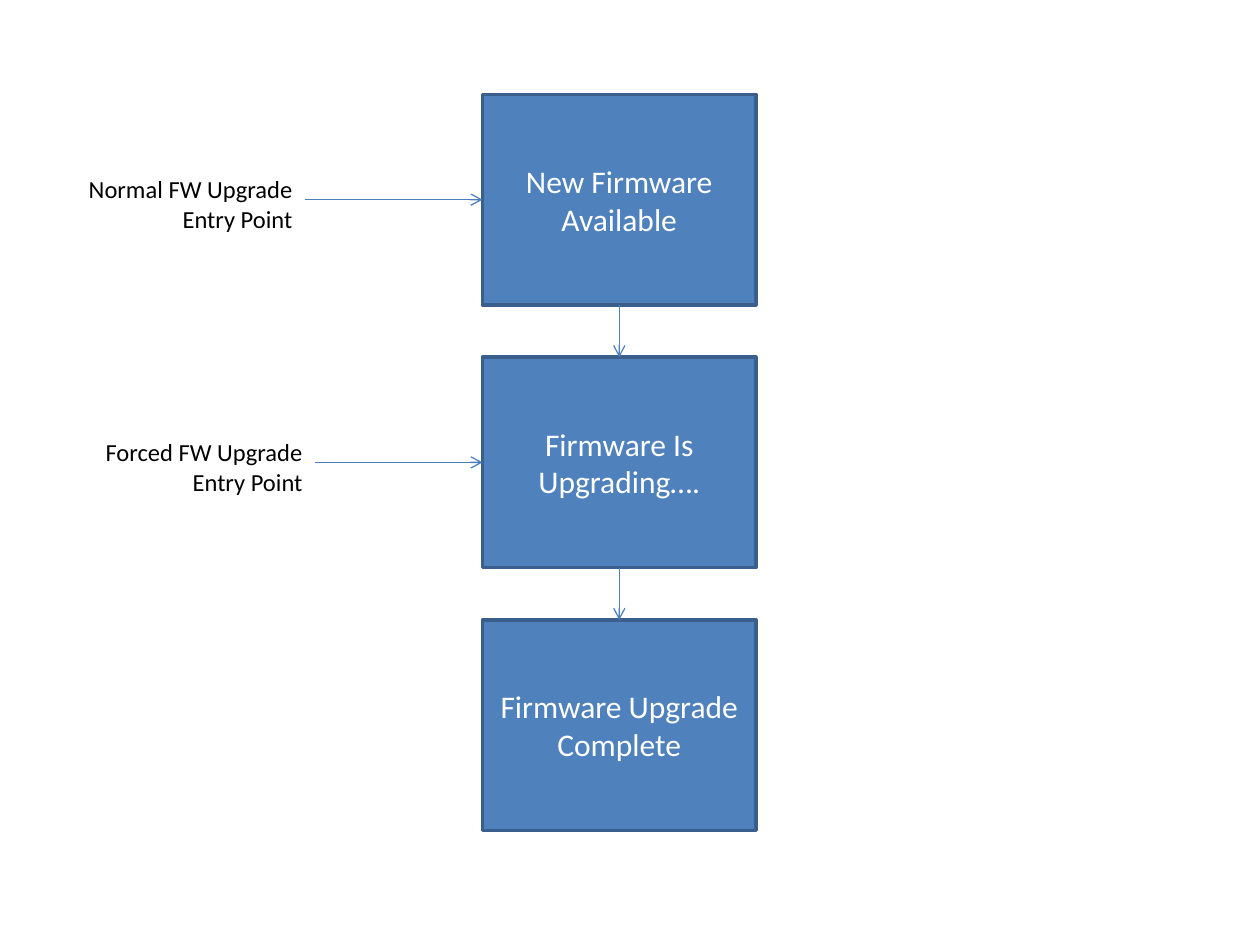
from lxml import etree
from pptx import Presentation
from pptx.dml.color import RGBColor
from pptx.enum.shapes import MSO_CONNECTOR, MSO_SHAPE
from pptx.enum.text import MSO_ANCHOR, MSO_AUTO_SIZE, PP_ALIGN
from pptx.oxml.ns import qn
from pptx.util import Inches, Pt

RECT = MSO_SHAPE.RECTANGLE
STRAIGHT = MSO_CONNECTOR.STRAIGHT
MIDDLE = MSO_ANCHOR.MIDDLE
GROW = MSO_AUTO_SIZE.SHAPE_TO_FIT_TEXT
CENTER, RIGHT = PP_ALIGN.CENTER, PP_ALIGN.RIGHT
TOP_SIDE, LEFT_SIDE, BOTTOM_SIDE = 0, 1, 2

FONT = "Calibri"
STATES = ["New Firmware Available", "Firmware Is Upgrading….",
          "Firmware Upgrade Complete"]
# Entry text, index of the state it leads to, left edge
ENTRIES = [("Normal FW Upgrade Entry Point", 0, 0.42),
           ("Forced FW Upgrade Entry Point", 1, 0.5)]


def color(hex_value):
    return RGBColor.from_string(hex_value)


def set_text(tf, text, size, hex_value, align):
    tf.word_wrap = True
    tf.text = text
    p = tf.paragraphs[0]
    p.alignment = align
    font = p.runs[0].font
    font.name, font.size = FONT, Pt(size)
    font.color.rgb = color(hex_value)


def add_arrow(s, x1, y1, x2, y2):
    arrow = s.shapes.add_connector(STRAIGHT, x1, y1, x2, y2)
    arrow.line.color.rgb = color("4B7EBC")
    arrow.line.width = Pt(0.75)
    etree.SubElement(arrow.line._get_or_add_ln(), qn("a:tailEnd"), type="arrow")
    etree.SubElement(arrow._element.spPr, qn("a:effectLst"))
    return arrow


def add_states(s, left, top, width, height, gap):
    """Column of state boxes, each linked to the next."""
    boxes = []
    for i, text in enumerate(STATES):
        y = top + i * (height + gap)
        box = s.shapes.add_shape(RECT, left, y, width, height)
        box.shadow.inherit = False
        box.fill.solid()
        box.fill.fore_color.rgb = color("4F81BD")
        box.line.color.rgb = color("3A5F8C")
        box.line.width = Pt(2)
        box.text_frame.vertical_anchor = MIDDLE
        set_text(box.text_frame, text, 18, "FFFFFF", CENTER)
        boxes.append(box)
    for upper, lower in zip(boxes, boxes[1:]):
        x = left + width // 2
        arrow = add_arrow(s, x, upper.top + height, x, lower.top)
        arrow.begin_connect(upper, BOTTOM_SIDE)
        arrow.end_connect(lower, TOP_SIDE)
    return boxes


def add_entry(s, text, left, width, height, state):
    """Entry label with an arrow into the left side of its state."""
    middle = state.top + state.height // 2
    label = s.shapes.add_textbox(left, middle - Inches(0.25), width, height)
    set_text(label.text_frame, text, 14, "000000", RIGHT)
    label.text_frame.auto_size = GROW
    arrow = add_arrow(s, left + width, middle, state.left, middle)
    arrow.end_connect(state, LEFT_SIDE)


def main():
    prs = Presentation()
    prs.slide_width, prs.slide_height = Inches(10), Inches(7.5)
    s = prs.slides.add_slide(prs.slide_layouts[6])

    # Upgrade states
    states = add_states(s, Inches(3.83), Inches(0.75), Inches(2.17),
                        Inches(1.67), Inches(0.415))

    # Entry points
    for text, index, left in ENTRIES:
        add_entry(s, text, Inches(left), Inches(2), Inches(0.57), states[index])

    prs.save("out.pptx")


if __name__ == "__main__":
    main()
